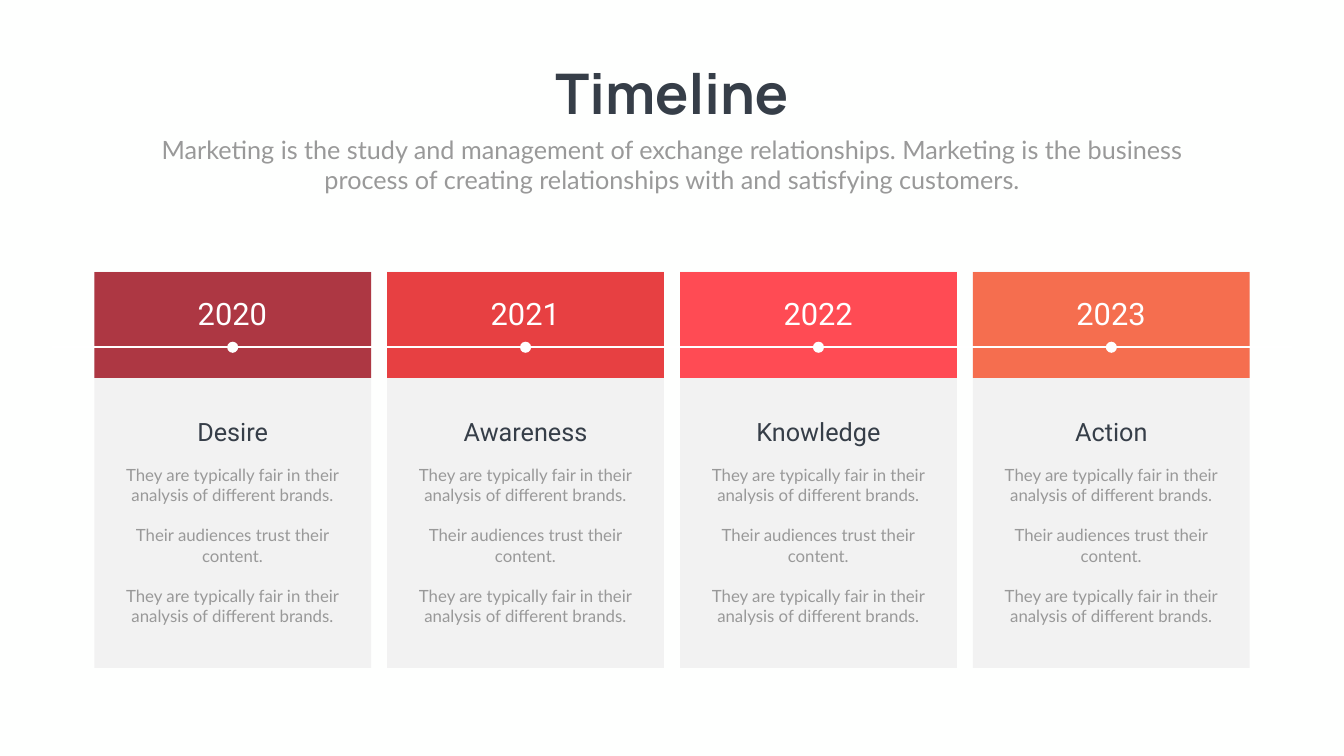
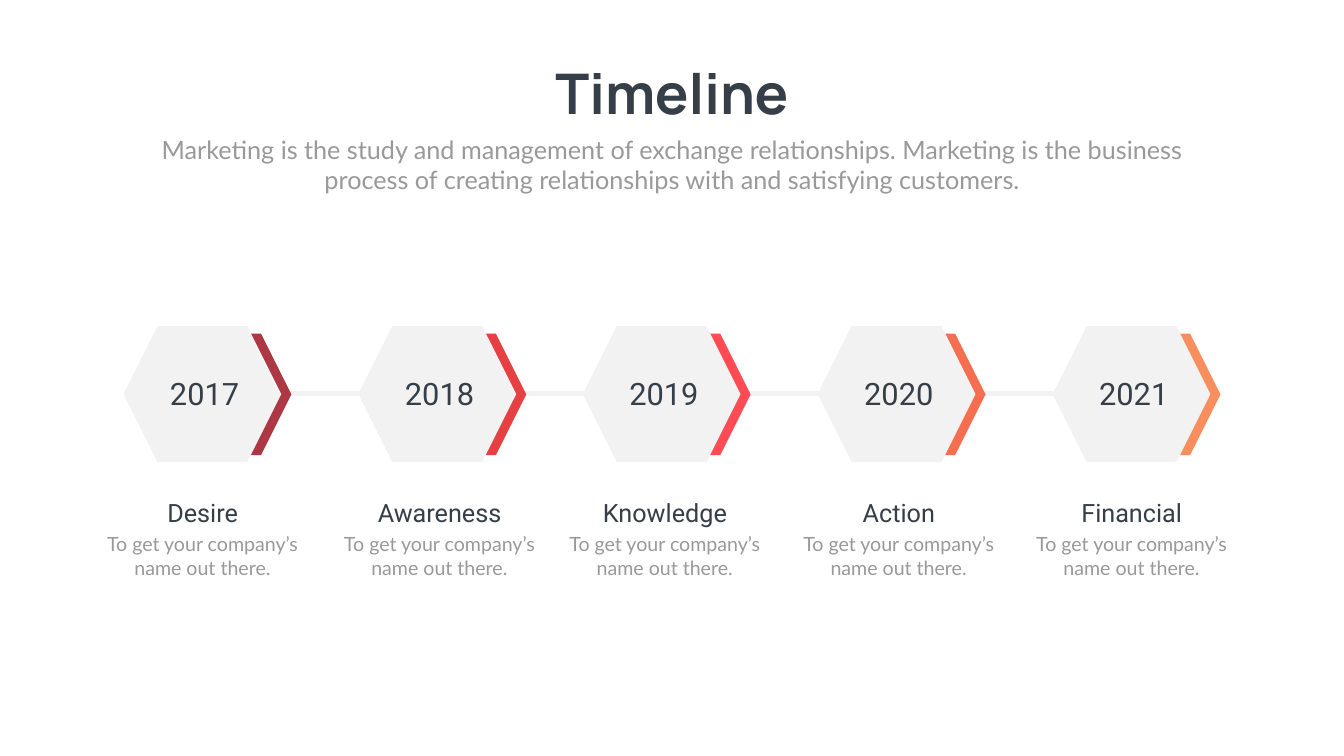
from dataclasses import dataclass

from lxml import etree
from pptx import Presentation
from pptx.dml.color import RGBColor
from pptx.enum.shapes import MSO_CONNECTOR as Connector, MSO_SHAPE as Shape
from pptx.enum.text import MSO_AUTO_SIZE as AutoSize, PP_ALIGN as Align
from pptx.oxml.ns import qn
from pptx.util import Inches, Pt


@dataclass(frozen=True)
class Style:
    font: str
    size: int
    color: str
    bold: bool = False


@dataclass(frozen=True)
class Theme:
    background: str = "FEFFFE"
    panel: str = "F2F2F2"
    white: str = "FFFFFF"
    accents: tuple = ("AD3743", "E74042", "FF4B54", "F56E4F", "F88E5D")
    title: Style = Style("Manrope", 80, "363E48", True)
    subtitle: Style = Style("Lato", 36, "999999")
    year: Style = Style("Roboto", 44, "363E48")
    year_on_band: Style = Style("Roboto", 44, "FFFFFF")
    heading: Style = Style("Roboto", 36, "363E48")
    card_body: Style = Style("Lato", 24, "999999")
    caption: Style = Style("Lato", 28, "999999")
    body_gap: float = 28.8


THEME = Theme()
SLIDE_W, SLIDE_H = 26.66, 15

SUBTITLE = (
    "Marketing is the study and management of exchange relationships. "
    "Marketing is the business process of creating relationships with "
    "and satisfying customers."
)
FAIRNESS = "They are typically fair in their analysis of different brands."
CARD_BODY = [FAIRNESS, "Their audiences trust their content.", FAIRNESS]
CAPTION = "To get your company’s name out there."

CARDS = [("2020", "Desire"), ("2021", "Awareness"),
         ("2022", "Knowledge"), ("2023", "Action")]
CARD_LEFT, CARD_TOP, CARD_W, CARD_H, CARD_PITCH = 1.87, 5.39, 5.49, 7.86, 5.81

STAGES = [
    ("2017", "Desire", 2.45, 1.72),
    ("2018", "Awareness", 7.11, 6.42),
    ("2019", "Knowledge", 11.56, 10.89),
    ("2020", "Action", 16.22, 15.53),
    ("2021", "Financial", 20.88, 20.15),
]
STAGE_TOP, CAPTION_TOP = 6.47, 9.81


def add_text(slide, box, paragraphs, style, gap=0, wrap=True):
    frame = slide.shapes.add_textbox(*map(Inches, box)).text_frame
    frame.text = "\n".join(paragraphs)
    frame.word_wrap = wrap
    frame.auto_size = AutoSize.SHAPE_TO_FIT_TEXT
    for index, paragraph in enumerate(frame.paragraphs):
        paragraph.alignment = Align.CENTER
        if index and gap:
            paragraph.space_before = Pt(gap)
        for run in paragraph.runs:
            run.font.name = style.font
            run.font.size = Pt(style.size)
            run.font.bold = style.bold
            run.font.color.rgb = RGBColor.from_string(style.color)


def add_block(slide, preset, box, color):
    block = slide.shapes.add_shape(preset, *map(Inches, box))
    block.shadow.inherit = False
    block.fill.solid()
    block.fill.fore_color.rgb = RGBColor.from_string(color)
    block.line.fill.background()


def add_horizontal_line(slide, start, end, y, color, width):
    line = slide.shapes.add_connector(
        Connector.STRAIGHT, Inches(start), Inches(y), Inches(end), Inches(y))
    line.line.color.rgb = RGBColor.from_string(color)
    line.line.width = Pt(width)
    etree.SubElement(line._element.spPr, qn("a:effectLst"))


def add_slide(deck):
    slide = deck.slides.add_slide(deck.slide_layouts[6])
    slide.background.fill.solid()
    slide.background.fill.fore_color.rgb = RGBColor.from_string(THEME.background)
    return slide


def add_header(slide):
    add_text(slide, (10.74, 1.12, 5.18, 1.45), ["Timeline"], THEME.title, wrap=False)
    add_text(slide, (2.92, 2.61, 20.82, 1.31), [SUBTITLE], THEME.subtitle)


def add_card_panel(slide, left, top, accent):
    add_block(slide, Shape.RECTANGLE, (left, top, CARD_W, CARD_H), THEME.panel)
    add_block(slide, Shape.RECTANGLE, (left, top + 0.01, CARD_W, 2.1), accent)


def add_card_content(slide, left, top, year, heading):
    center = left + CARD_W / 2
    add_block(slide, Shape.OVAL, (center - 0.11, top + 1.39, 0.22, 0.22), THEME.white)
    add_text(slide, (center - 1.07, top + 0.41, 2.13, 0.84), [year], THEME.year_on_band)
    add_text(slide, (center - 2, top + 2.83, 4, 0.71), [heading], THEME.heading)
    add_text(slide, (center - 2.4, top + 3.78, 4.79, 3.33), CARD_BODY,
             THEME.card_body, gap=THEME.body_gap)


def build_card_timeline(deck):
    slide = add_slide(deck)
    add_header(slide)
    lefts = [CARD_LEFT + index * CARD_PITCH for index in range(len(CARDS))]
    for left, accent in zip(lefts, THEME.accents):
        add_card_panel(slide, left, CARD_TOP, accent)
    add_horizontal_line(slide, 1.04, 25.62, CARD_TOP + 1.5, THEME.white, 3)
    for left, (year, heading) in zip(lefts, CARDS):
        add_card_content(slide, left, CARD_TOP, year, heading)


def add_stage(slide, left, top, year, accent):
    add_block(slide, Shape.HEXAGON, (left + 0.53, top + 0.15, 2.8, 2.41), accent)
    add_block(slide, Shape.HEXAGON, (left, top, 3.13, 2.7), THEME.panel)
    add_text(slide, (left + 0.43, top + 0.92, 2.36, 0.84), [year], THEME.year)


def add_stage_caption(slide, left, top, heading):
    add_text(slide, (left + 0.3, top, 4, 0.71), [heading], THEME.heading)
    add_text(slide, (left, top + 0.7, 4.59, 1.04), [CAPTION], THEME.caption)


def build_hexagon_timeline(deck):
    slide = add_slide(deck)
    add_horizontal_line(slide, 3.81, 22.56, STAGE_TOP + 1.34, THEME.panel, 7)
    add_header(slide)
    for (year, heading, stage_left, caption_left), accent in zip(STAGES, THEME.accents):
        add_stage(slide, stage_left, STAGE_TOP, year, accent)
        add_stage_caption(slide, caption_left, CAPTION_TOP, heading)


def main():
    deck = Presentation()
    deck.slide_width, deck.slide_height = Inches(SLIDE_W), Inches(SLIDE_H)
    build_card_timeline(deck)
    build_hexagon_timeline(deck)
    deck.save("out.pptx")


if __name__ == "__main__":
    main()
